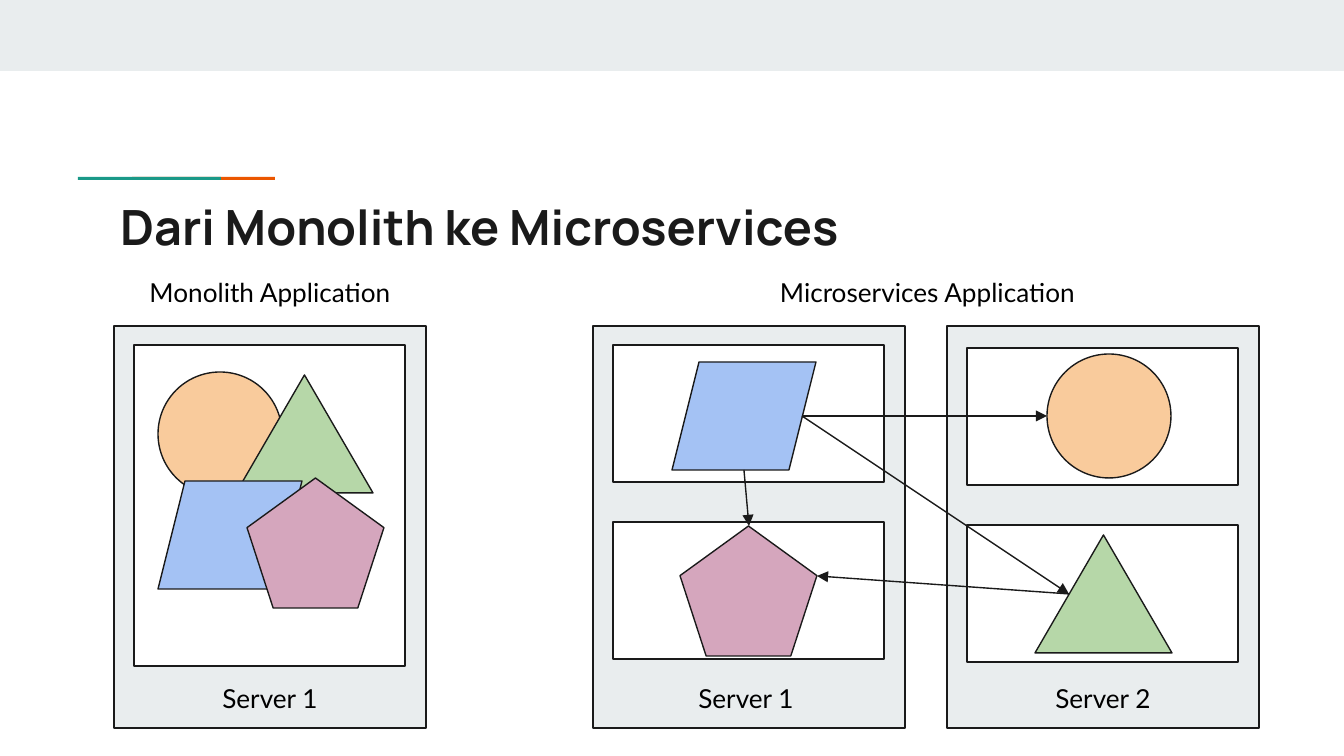
from typing import NamedTuple

import lxml.etree
import pptx
import pptx.dml.color
import pptx.enum.shapes
import pptx.enum.text
import pptx.oxml.ns
import pptx.util

EMU_PER_PX = 914400 / 134.4
LINE_POINTS = 0.75
COLORS = {
    "white": "FFFFFF",
    "black": "000000",
    "ink": "1A1A1A",
    "gray": "E9EDEE",
    "orange": "EB5600",
    "teal": "1A9988",
    "peach": "F9CB9C",
    "green": "B6D7A8",
    "blue": "A4C2F4",
    "pink": "D5A6BD",
}
Kind = pptx.enum.shapes.MSO_SHAPE
Align = pptx.enum.text.PP_ALIGN


class Module(NamedTuple):
    """An application part, drawn the same size wherever it is deployed."""
    kind: Kind
    width: int
    height: int
    color: str


class Placement(NamedTuple):
    module: Module
    left: int
    top: int


class Panel(NamedTuple):
    top: int
    height: int


class Server(NamedTuple):
    name: str
    left: int
    label_left: int
    panels: list[Panel]
    placements: list[Placement]


class Label(NamedTuple):
    text: str
    left: int
    top: int
    width: int
    height: int
    font: str = "Lato"
    size: int = 14
    color: str = "black"
    bold: bool = False
    align: Align = Align.CENTER


class Arrow(NamedTuple):
    start: tuple[int, int]
    end: tuple[int, int]


SERVER_TOP, SERVER_WIDTH, SERVER_HEIGHT = 326, 312, 402
PANEL_INSET, PANEL_WIDTH = 20, 271
SERVICE_HEIGHT = 137

CIRCLE = Module(Kind.OVAL, 124, 124, "peach")
TRIANGLE = Module(Kind.ISOSCELES_TRIANGLE, 137, 118, "green")
PARALLELOGRAM = Module(Kind.PARALLELOGRAM, 144, 108, "blue")
PENTAGON = Module(Kind.REGULAR_PENTAGON, 137, 130, "pink")

SERVERS = [
    Server("Server 1", 114, 137, [Panel(345, 321)], [
        Placement(CIRCLE, 158, 372),
        Placement(TRIANGLE, 236, 375),
        Placement(PARALLELOGRAM, 158, 481),
        Placement(PENTAGON, 247, 478),
    ]),
    Server("Server 1", 593, 613, [Panel(345, SERVICE_HEIGHT), Panel(522, SERVICE_HEIGHT)], [
        Placement(PENTAGON, 680, 526),
        Placement(PARALLELOGRAM, 672, 362),
    ]),
    Server("Server 2", 947, 970, [Panel(348, SERVICE_HEIGHT), Panel(525, SERVICE_HEIGHT)], [
        Placement(CIRCLE, 1047, 354),
        Placement(TRIANGLE, 1035, 535),
    ]),
]

LABELS = [
    Label("Dari Monolith ke Microservices", 107, 184, 1130, 79,
          "Manrope", 26, "ink", True, Align.LEFT),
    Label("Monolith Application", 123, 263, 294, 78),
    Label("Microservices Application", 742, 263, 371, 78),
]

PARALLELOGRAM_EXIT = (802, 416)
TRIANGLE_SIDE = (1069, 594)
ARROWS = [
    Arrow(PARALLELOGRAM_EXIT, TRIANGLE_SIDE),
    Arrow((744, 470), (749, 526)),
    Arrow(PARALLELOGRAM_EXIT, (1047, 416)),
    Arrow(TRIANGLE_SIDE, (817, 576)),
]


def px(length: int) -> int:
    return pptx.util.Emu(round(length * EMU_PER_PX))


def rgb(color: str) -> pptx.dml.color.RGBColor:
    return pptx.dml.color.RGBColor.from_string(COLORS[color])


def draw_shape(page, kind: Kind, left: int, top: int, width: int, height: int,
               color: str, outlined: bool = True) -> None:
    shape = page.shapes.add_shape(kind, px(left), px(top), px(width), px(height))
    shape.shadow.inherit = False
    shape.fill.solid()
    shape.fill.fore_color.rgb = rgb(color)
    if outlined:
        shape.line.color.rgb = rgb("ink")
        shape.line.width = pptx.util.Pt(LINE_POINTS)
    else:
        shape.line.fill.background()


def draw_label(page, label: Label) -> None:
    box = page.shapes.add_textbox(px(label.left), px(label.top), px(label.width), px(label.height))
    frame = box.text_frame
    frame.word_wrap = True
    inset = pptx.util.Inches(0.1)
    frame.margin_left = frame.margin_right = frame.margin_top = frame.margin_bottom = inset
    para = frame.paragraphs[0]
    para.alignment = label.align
    span = para.add_run()
    span.text = label.text
    span.font.name = label.font
    span.font.size = pptx.util.Pt(label.size)
    span.font.bold = label.bold
    span.font.color.rgb = rgb(label.color)


def draw_server(page, server: Server) -> None:
    draw_shape(page, Kind.RECTANGLE, server.left, SERVER_TOP, SERVER_WIDTH, SERVER_HEIGHT, "gray")
    for panel in server.panels:
        draw_shape(page, Kind.RECTANGLE, server.left + PANEL_INSET, panel.top,
                   PANEL_WIDTH, panel.height, "white")
    for module, left, top in server.placements:
        draw_shape(page, module.kind, left, top, module.width, module.height, module.color)
    draw_label(page, Label(server.name, server.label_left, 669, 266, 60))


def draw_arrow(page, arrow: Arrow) -> None:
    connector = page.shapes.add_connector(
        pptx.enum.shapes.MSO_CONNECTOR.STRAIGHT,
        *map(px, arrow.start), *map(px, arrow.end))
    connector.line.color.rgb = rgb("ink")
    connector.line.width = pptx.util.Pt(LINE_POINTS)
    properties = connector._element.spPr
    outline = properties.find(pptx.oxml.ns.qn("a:ln"))
    lxml.etree.SubElement(outline, pptx.oxml.ns.qn("a:tailEnd"), type="triangle")
    lxml.etree.SubElement(properties, pptx.oxml.ns.qn("a:effectLst"))


def main() -> None:
    deck = pptx.Presentation()
    deck.slide_width, deck.slide_height = px(1344), px(756)
    page = deck.slides.add_slide(deck.slide_layouts[6])
    page.background.fill.solid()
    page.background.fill.fore_color.rgb = rgb("white")

    draw_shape(page, Kind.RECTANGLE, 0, 0, 1344, 71, "gray", outlined=False)
    for left, color in ((132, "orange"), (78, "teal")):
        draw_shape(page, Kind.RECTANGLE, left, 177, 143, 3, color, outlined=False)
    for server in SERVERS:
        draw_server(page, server)
    for label in LABELS:
        draw_label(page, label)
    for arrow in ARROWS:
        draw_arrow(page, arrow)
    deck.save("out.pptx")


if __name__ == "__main__":
    main()
